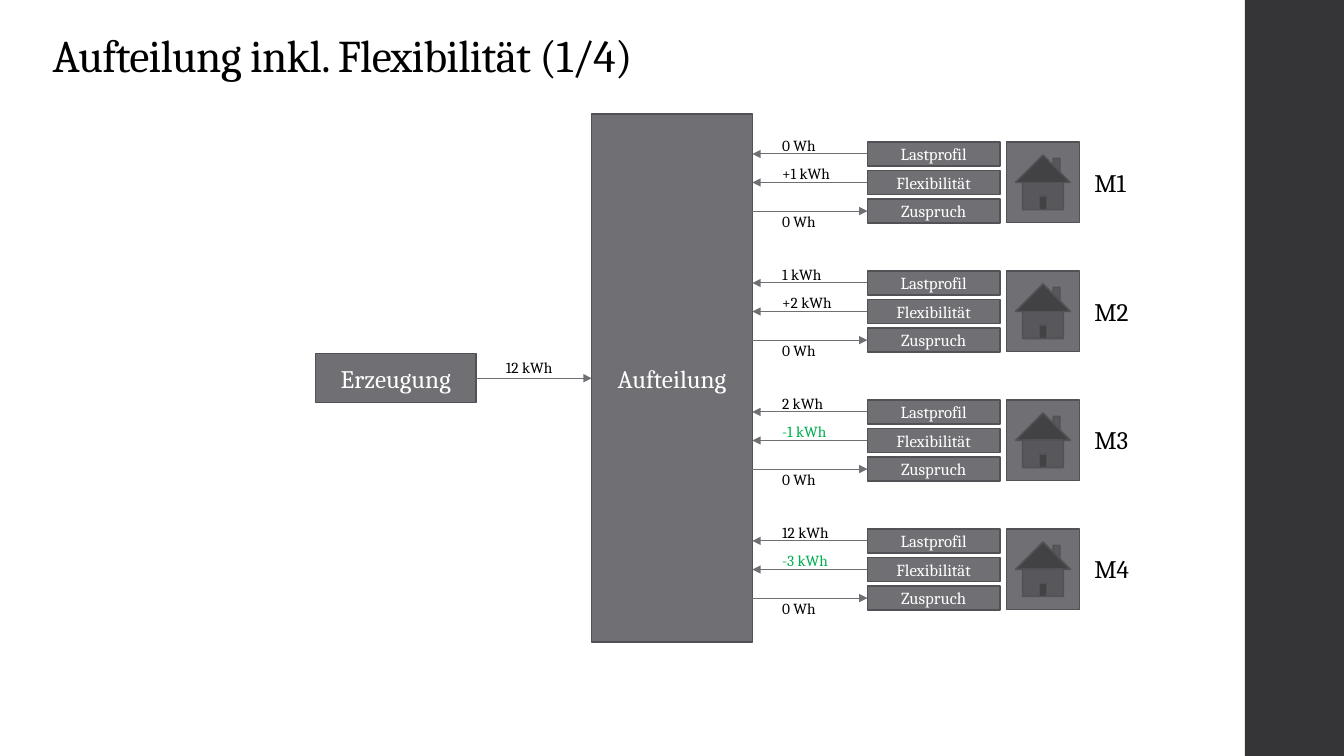
from lxml import etree
from pptx import Presentation
from pptx.dml.color import RGBColor
from pptx.enum import shapes, text
from pptx.oxml import ns
from pptx.util import Cm, Pt

FONT = "Cambria"
COLORS = {
    "panel": "353537",
    "box": "6F6F74",
    "border": "525256",
    "light": "FFFFFF",
    "dark": "000000",
    "reduction": "00B050",
}
RECTANGLE = shapes.MSO_SHAPE.RECTANGLE
HOME = shapes.MSO_SHAPE.ACTION_BUTTON_HOME

# Layout in centimetres
SPLIT_LEFT, SPLIT_RIGHT = 14.91, 18.96
STACK_LEFT, STACK_TOP = 21.86, 3.58
BOX_HEIGHT, BOX_PITCH, MEMBER_PITCH = 0.6, 0.72, 3.25
SOURCE_Y = 9.53

# Name, load profile, flexibility, allocation
MEMBERS = [
    ("M1", "0 Wh", "+1 kWh", "0 Wh"),
    ("M2", "1 kWh", "+2 kWh", "0 Wh"),
    ("M3", "2 kWh", "-1 kWh", "0 Wh"),
    ("M4", "12 kWh", "-3 kWh", "0 Wh"),
]
# Box caption, label offset from box top, arrow points to the member
STACK = [
    ("Lastprofil", -0.28, False),
    ("Flexibilität", -0.29, False),
    ("Zuspruch", 0.21, True),
]


def color(name):
    return RGBColor.from_string(COLORS[name])


def set_text(frame, content, size, color_name, alignment=text.PP_ALIGN.LEFT):
    frame.word_wrap = True
    frame.text = content
    paragraph = frame.paragraphs[0]
    paragraph.alignment = alignment
    paragraph.font.name = FONT
    paragraph.font.size = Pt(size)
    paragraph.font.color.rgb = color(color_name)
    return paragraph


def add_box(slide, kind, left, top, width, height, caption="", size=18):
    shape = slide.shapes.add_shape(kind, Cm(left), Cm(top), Cm(width), Cm(height))
    shape.shadow.inherit = False
    shape.fill.solid()
    shape.fill.fore_color.rgb = color("box")
    shape.line.color.rgb = color("border")
    shape.line.width = Pt(1.1)
    if caption:
        shape.text_frame.vertical_anchor = text.MSO_ANCHOR.MIDDLE
        set_text(shape.text_frame, caption, size, "light", text.PP_ALIGN.CENTER)


def add_label(slide, left, top, width, height, content, size=11, color_name="dark"):
    label = slide.shapes.add_textbox(Cm(left), Cm(top), Cm(width), Cm(height))
    set_text(label.text_frame, content, size, color_name)
    label.text_frame.auto_size = text.MSO_AUTO_SIZE.SHAPE_TO_FIT_TEXT


def add_arrow(slide, start, end, y):
    arrow = slide.shapes.add_connector(
        shapes.MSO_CONNECTOR.STRAIGHT, Cm(start), Cm(y), Cm(end), Cm(y))
    arrow.line.color.rgb = color("box")
    arrow.line.width = Pt(0.75)
    etree.SubElement(arrow.line._get_or_add_ln(), ns.qn("a:tailEnd"), type="triangle")
    etree.SubElement(arrow._element.spPr, ns.qn("a:effectLst"))


def add_title(slide, content):
    title = slide.shapes.title
    title.left, title.top, title.width, title.height = Cm(1.07), Cm(0.66), Cm(26.92), Cm(1.55)
    frame = title.text_frame
    frame.auto_size = text.MSO_AUTO_SIZE.NONE
    frame.vertical_anchor = text.MSO_ANCHOR.BOTTOM
    paragraph = set_text(frame, content, 32.4, "dark")
    paragraph.line_spacing = 0.9
    paragraph.runs[0].font._element.set("spc", "-50")


def add_side_panel(slide, presentation):
    left = Cm(31.37)
    panel = slide.shapes.add_shape(
        RECTANGLE, left, 0, presentation.slide_width - left, presentation.slide_height)
    panel.shadow.inherit = False
    panel.fill.solid()
    panel.fill.fore_color.rgb = color("panel")
    panel.line.fill.background()


def add_member(slide, top, name, values):
    for index, ((caption, offset, inbound), value) in enumerate(zip(STACK, values)):
        box_top = top + index * BOX_PITCH
        add_box(slide, RECTANGLE, STACK_LEFT, box_top, 3.34, BOX_HEIGHT, caption, 12)
        ends = (SPLIT_RIGHT, STACK_LEFT) if inbound else (STACK_LEFT, SPLIT_RIGHT)
        add_arrow(slide, *ends, box_top + BOX_HEIGHT / 2)
        label_color = "reduction" if value.startswith("-") else "dark"
        add_label(slide, 19.46, box_top + offset, 1.9, 0.74, value, color_name=label_color)
    add_box(slide, HOME, 25.37, top, 1.83, 2.03)
    add_label(slide, 27.33, top + 0.5, 1.5, 1.02, name, 18)


def main():
    presentation = Presentation()
    presentation.slide_width, presentation.slide_height = Cm(33.87), Cm(19.05)
    slide = presentation.slides.add_slide(presentation.slide_layouts[5])

    add_side_panel(slide, presentation)
    add_title(slide, "Aufteilung inkl. Flexibilität (1/4)")

    # Generation feeding the distribution block
    add_box(slide, RECTANGLE, 7.95, 8.91, 4.05, 1.23, "Erzeugung")
    add_box(slide, RECTANGLE, SPLIT_LEFT, 2.87, SPLIT_RIGHT - SPLIT_LEFT, 13.31, "Aufteilung")
    add_arrow(slide, 12, SPLIT_LEFT, SOURCE_Y)
    add_label(slide, 12.5, 8.89, 1.9, 0.74, "12 kWh")

    # Members
    for index, (name, *values) in enumerate(MEMBERS):
        add_member(slide, STACK_TOP + index * MEMBER_PITCH, name, values)

    presentation.save("out.pptx")


if __name__ == "__main__":
    main()
